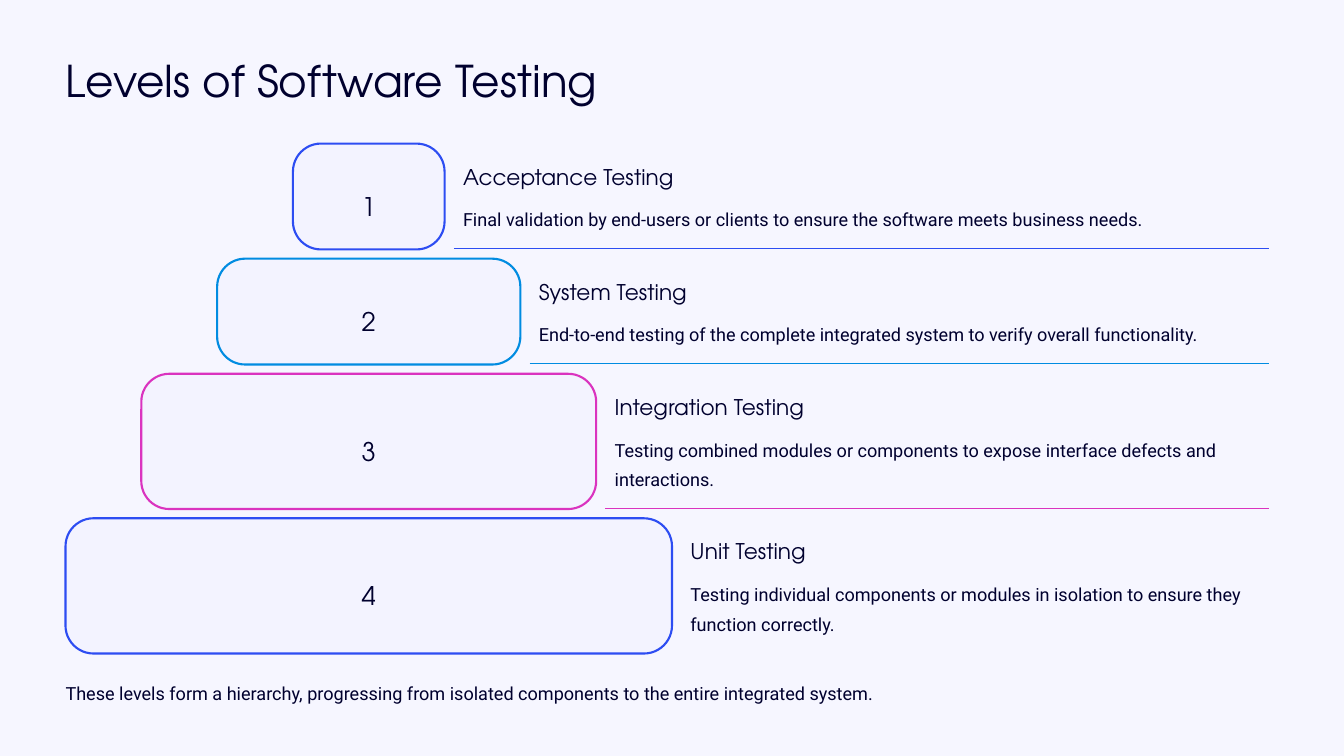
from collections import namedtuple

from lxml.etree import SubElement
from pptx import Presentation
from pptx.dml.color import RGBColor
from pptx.enum.shapes import MSO_CONNECTOR as Connector, MSO_SHAPE as Shape
from pptx.enum.text import PP_ALIGN as Align
from pptx.oxml.ns import qn
from pptx.util import Inches, Pt

BACKGROUND, BOX_FILL, INK = "F6F6FF", "F3F3FF", "00002E"
BLUE, CYAN, PINK = "2D4DF2", "018CE1", "DA33BF"
HEADING_FONT, BODY_FONT = "TeX Gyre Adventor", "Roboto"

LEFT_MARGIN = 0.78
PYRAMID_CENTER = 4.39
WIDTH_STEP = 1.805
FIRST_TOP = 1.71
ROW_GAP = 0.11
CORNER_RADIUS = 0.333
TEXT_GAP = 0.22
DIVIDER_GAP = 0.11
DIVIDER_RIGHT = 15.11

STYLES = {
    "title": {"font": {"name": HEADING_FONT, "size": Pt(37.5)},
              "paragraph": {"line_spacing": Pt(47)}},
    "number": {"font": {"name": HEADING_FONT, "size": Pt(22)},
               "paragraph": {"line_spacing": Pt(35.5), "alignment": Align.CENTER}},
    "heading": {"font": {"name": HEADING_FONT, "size": Pt(18.5)},
                "paragraph": {"line_spacing": Pt(23.5)}},
    "body": {"font": {"name": BODY_FONT, "size": Pt(15.5)},
             "paragraph": {"line_spacing": Pt(25.5)}},
}

Level = namedtuple("Level", "name description color height text_width lines")
LEVELS = [
    Level("Acceptance Testing",
          "Final validation by end-users or clients to ensure the software meets business needs.",
          BLUE, 1.26, 8.3, 1),
    Level("System Testing",
          "End-to-end testing of the complete integrated system to verify overall functionality.",
          CYAN, 1.26, 8.1, 1),
    Level("Integration Testing",
          "Testing combined modules or components to expose interface defects and interactions.",
          PINK, 1.61, 7.68, 2),
    Level("Unit Testing",
          "Testing individual components or modules in isolation to ensure they function correctly.",
          BLUE, 1.61, 6.78, 2),
]


def color(hex_value):
    return RGBColor.from_string(hex_value)


def set_attributes(target, values):
    for name, value in values.items():
        setattr(target, name, value)


def add_text(slide, text, style, left, top, width, height):
    box = slide.shapes.add_textbox(Inches(left), Inches(top), Inches(width), Inches(height))
    set_attributes(box.text_frame, {"margin_left": 0, "margin_right": 0, "margin_top": 0,
                                    "margin_bottom": 0, "word_wrap": True})
    paragraph = box.text_frame.paragraphs[0]
    set_attributes(paragraph, STYLES[style]["paragraph"])
    run = paragraph.add_run()
    run.text = text
    set_attributes(run.font, STYLES[style]["font"])
    run.font.color.rgb = color(INK)


def add_box(slide, left, top, width, height, line_color):
    shape = slide.shapes.add_shape(Shape.ROUNDED_RECTANGLE, Inches(left), Inches(top),
                                   Inches(width), Inches(height))
    shape.adjustments[0] = CORNER_RADIUS / height
    shape.shadow.inherit = False
    shape.fill.solid()
    shape.fill.fore_color.rgb = color(BOX_FILL)
    shape.line.color.rgb = color(line_color)
    shape.line.width = Pt(1.8)


def add_divider(slide, left, y, line_color):
    line = slide.shapes.add_connector(Connector.STRAIGHT, Inches(left), Inches(y),
                                      Inches(DIVIDER_RIGHT), Inches(y))
    line.line.color.rgb = color(line_color)
    line.line.width = Pt(1)
    SubElement(line._element.spPr, qn("a:effectLst"))


def add_level(slide, number, level, top):
    """Add one pyramid step with its number, heading and description."""
    width = number * WIDTH_STEP
    right = PYRAMID_CENTER + width / 2
    text_left = right + TEXT_GAP
    add_box(slide, right - width, top, width, level.height, level.color)
    add_text(slide, str(number), "number", PYRAMID_CENTER - 0.155,
             top + (level.height - 0.39) / 2, 0.31, 0.39)
    add_text(slide, level.name, "heading", text_left, top + 0.22, 2.61, 0.33)
    add_text(slide, level.description, "body", text_left, top + 0.68, level.text_width,
             0.355 * level.lines)
    if number < len(LEVELS):
        add_divider(slide, right + DIVIDER_GAP, top + level.height - 0.01, level.color)


def main():
    presentation = Presentation()
    presentation.slide_width, presentation.slide_height = Inches(16), Inches(9)
    slide = presentation.slides.add_slide(presentation.slide_layouts[6])
    slide.background.fill.solid()
    slide.background.fill.fore_color.rgb = color(BACKGROUND)

    add_text(slide, "Levels of Software Testing", "title", LEFT_MARGIN, 0.61, 6.8, 0.65)
    top = FIRST_TOP
    for number, level in enumerate(LEVELS, start=1):
        add_level(slide, number, level, top)
        top += level.height + ROW_GAP
    add_text(slide, "These levels form a hierarchy, progressing from isolated components "
             "to the entire integrated system.", "body", LEFT_MARGIN, 8.03, 14.45, 0.36)
    presentation.save("out.pptx")


if __name__ == "__main__":
    main()
